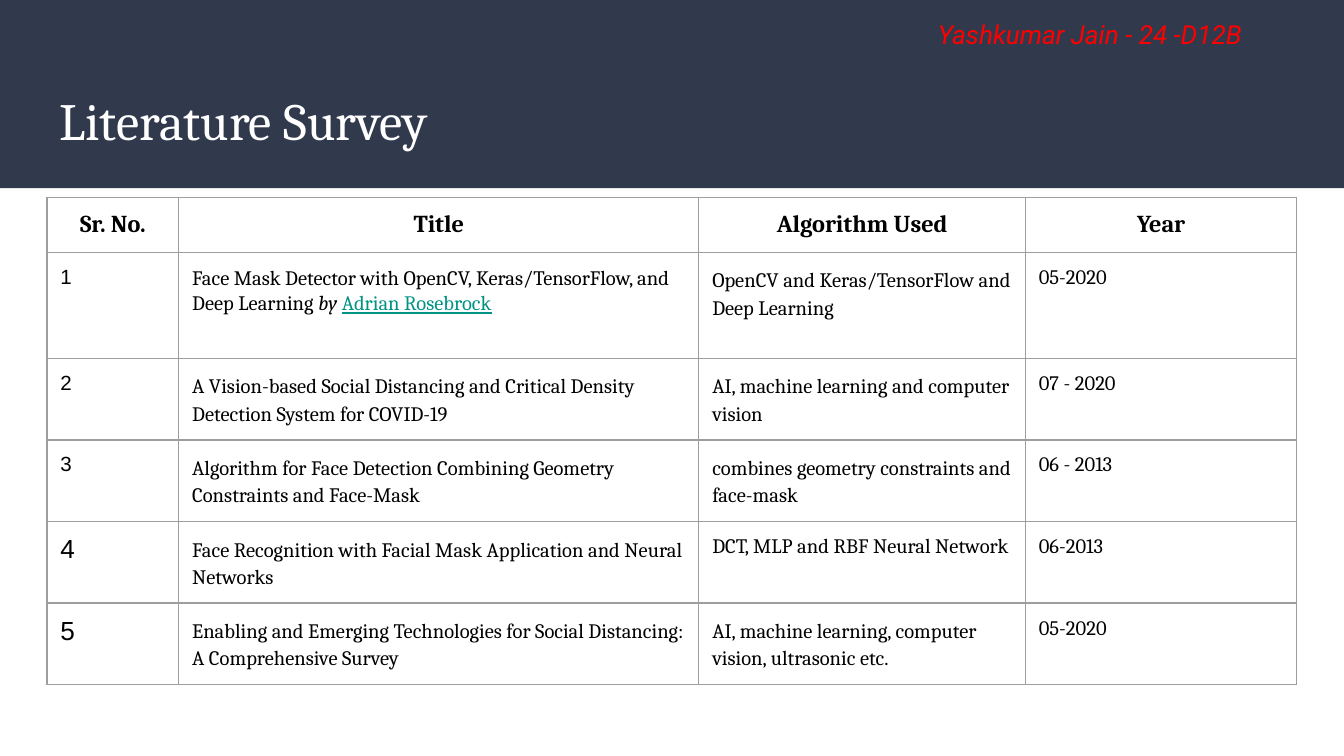
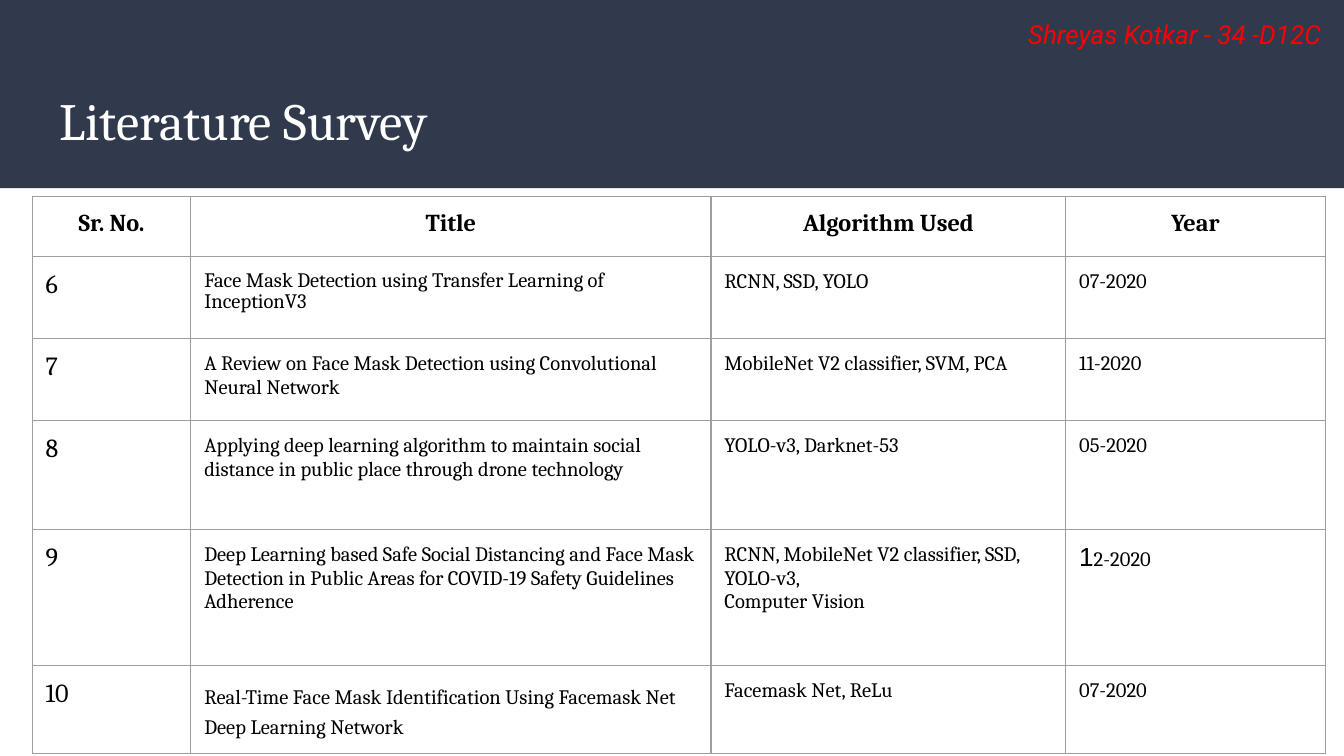
import pptx
import pptx.dml.color
import pptx.enum.shapes
import pptx.enum.text
import pptx.oxml
import pptx.oxml.ns
import pptx.util

Inches = pptx.util.Inches
Pt = pptx.util.Pt

NAVY, WHITE, BLACK = "31394D", "FFFFFF", "000000"
RED, TEAL, GREY = "FF0000", "009384", "9E9E9E"

TITLE = "Literature Survey"
TITLE_FONT = {"name": "Cambria", "size": Pt(28), "color": WHITE}
AUTHOR_FONT = {"name": "Roboto", "size": Pt(14), "color": RED, "italic": True}
HEADING_FONT = {"name": "Cambria", "size": Pt(13), "color": BLACK, "bold": True}
BODY_FONT = {"name": "Cambria", "size": Pt(11), "color": BLACK, "bold": False}
SMALL_ARIAL = {"name": "Arial"}
LARGE_ARIAL = {"name": "Arial", "size": Pt(14)}
LARGE_NUMBER = {"size": Pt(14)}

LOOSE = {"line_spacing": 1.15}
LOOSE_TITLE = {**LOOSE, "space_before": Pt(6), "space_after": Pt(9)}
LOOSE_ALGORITHM = {**LOOSE, "space_before": Pt(6), "space_after": Pt(6)}

HEADINGS = ("Sr. No.", "Title", "Algorithm Used", "Year")

SURVEYS = [
    {
        "author": "Yashkumar Jain - 24 -D12B",
        "author_box": (6.88, 0.04, 3, 0.67),
        "corner": (0.35, 1.47),
        "columns": (0.98, 3.87, 2.43, 2.02),
        "heights": (0.26, 0.79, 0.37, 0.37, 0.37, 0.5),
        "papers": [
            ([("1", SMALL_ARIAL)],
             ([("Face Mask Detector with OpenCV, Keras/TensorFlow, and Deep Learning ", {}),
               ("by ", {"italic": True}),
               ("Adrian Rosebrock", {"color": TEAL, "underline": True})],
              {"line_spacing": 1.06}),
             ("OpenCV and Keras/TensorFlow and Deep Learning", LOOSE),
             "05-2020"),
            ([("2", SMALL_ARIAL)],
             ("A Vision-based Social Distancing and Critical Density Detection System for COVID-19",
              LOOSE_TITLE),
             ("AI, machine learning and computer vision", LOOSE_ALGORITHM),
             "07 - 2020"),
            ([("3", SMALL_ARIAL)],
             ("Algorithm for Face Detection Combining Geometry Constraints and Face-Mask",
              {**LOOSE, "space_before": Pt(24), "space_after": Pt(6)}),
             ("combines geometry constraints and face-mask", LOOSE),
             "06 - 2013"),
            ([("4", LARGE_ARIAL)],
             ("Face Recognition with Facial Mask Application and Neural Networks",
              {**LOOSE, "space_after": Pt(6)}),
             "DCT, MLP and RBF Neural Network",
             "06-2013"),
            ([("5", LARGE_ARIAL)],
             ("Enabling and Emerging Technologies for Social Distancing: A Comprehensive Survey",
              LOOSE_TITLE),
             ("AI, machine learning, computer vision, ultrasonic etc.", LOOSE_ALGORITHM),
             "05-2020"),
        ],
    },
    {
        "author": "Shreyas Kotkar - 34 -D12C",
        "author_box": (7.55, 0.04, 2.98, 0.67),
        "corner": (0.24, 1.46),
        "columns": (1.18, 3.87, 2.64, 1.93),
        "heights": (0.45, 0.61, 0.61, 0.81, 1.01, 0.58),
        "papers": [
            ([("6", LARGE_NUMBER)],
             ("Face Mask Detection using Transfer Learning of\nInceptionV3",
              {"line_spacing": 0.9}),
             "RCNN, SSD, YOLO",
             "07-2020"),
            ([("7", LARGE_NUMBER)],
             "A Review on Face Mask Detection using Convolutional Neural Network",
             "MobileNet V2 classifier, SVM, PCA",
             "11-2020"),
            ([("8", LARGE_NUMBER)],
             "Applying deep learning algorithm to maintain social distance in public place "
             "through drone technology",
             "YOLO-v3, Darknet-53",
             "05-2020"),
            ([("9", LARGE_NUMBER)],
             "Deep Learning based Safe Social Distancing and Face Mask Detection in Public "
             "Areas for COVID-19 Safety Guidelines Adherence",
             "RCNN, MobileNet V2 classifier, SSD, YOLO-v3,\nComputer Vision",
             [("1", LARGE_ARIAL), ("2-2020", {})]),
            ([("10", LARGE_NUMBER)],
             ("Real-Time Face Mask Identification Using Facemask Net Deep Learning Network",
              {"line_spacing": 1.29, "space_after": Pt(4)}),
             "Facemask Net, ReLu",
             "07-2020"),
        ],
    },
]


def rgb(code):
    return pptx.dml.color.RGBColor.from_string(code)


def set_attributes(target, values):
    for key, value in values.items():
        if key == "color":
            target.color.rgb = rgb(value)
        else:
            setattr(target, key, value)


def set_margins(frame):
    for side in ("left", "top", "right", "bottom"):
        setattr(frame, f"margin_{side}", Inches(0.1))


def write(frame, content, font, spacing):
    if isinstance(content, str):
        lines = [[(line, {})] for line in content.split("\n")]
    else:
        lines = [content]
    for index, line in enumerate(lines):
        paragraph = frame.add_paragraph() if index else frame.paragraphs[0]
        set_attributes(paragraph, spacing)
        for words, changes in line:
            run = paragraph.add_run()
            run.text = words
            set_attributes(run.font, {**font, **changes})


def add_borders(cell):
    properties = cell._tc.get_or_add_tcPr()
    for side in "LRTB":
        properties.append(pptx.oxml.parse_xml(
            f'<a:ln{side} {pptx.oxml.ns.nsdecls("a")} w="{Pt(0.75)}">'
            f'<a:solidFill><a:srgbClr val="{GREY}"/></a:solidFill></a:ln{side}>'))


def prepare_layout(layout, slide):
    band = slide.shapes.add_shape(
        pptx.enum.shapes.MSO_SHAPE.RECTANGLE, 0, 0, Inches(10), Inches(1.4))
    band.shadow.inherit = False
    band.fill.solid()
    band.fill.fore_color.rgb = rgb(NAVY)
    band.line.fill.background()
    layout.shapes._spTree.insert(2, band._element)
    heading = layout.placeholders[0]
    set_attributes(heading, {"left": Inches(0.34), "top": Inches(0.55),
                             "width": Inches(9.32), "height": Inches(0.68)})


def add_title(slide):
    frame = slide.shapes.title.text_frame
    set_margins(frame)
    set_attributes(frame, {"vertical_anchor": pptx.enum.text.MSO_ANCHOR.MIDDLE,
                           "auto_size": pptx.enum.text.MSO_AUTO_SIZE.NONE})
    write(frame, TITLE, TITLE_FONT, {"alignment": pptx.enum.text.PP_ALIGN.LEFT})


def add_author(slide, survey):
    frame = slide.shapes.add_textbox(*map(Inches, survey["author_box"])).text_frame
    set_margins(frame)
    set_attributes(frame, {"word_wrap": True,
                           "auto_size": pptx.enum.text.MSO_AUTO_SIZE.SHAPE_TO_FIT_TEXT})
    write(frame, survey["author"], AUTHOR_FONT, {})


def add_papers(slide, survey):
    rows = [HEADINGS, *survey["papers"]]
    columns, heights = survey["columns"], survey["heights"]
    table = slide.shapes.add_table(
        len(rows), len(columns), *map(Inches, survey["corner"]),
        Inches(sum(columns)), Inches(sum(heights))).table
    set_attributes(table, {"first_row": False, "horz_banding": False})
    for column, width in zip(table.columns, columns):
        column.width = Inches(width)
    for index, (row, height, entries) in enumerate(zip(table.rows, heights, rows)):
        row.height = Inches(height)
        for cell, entry in zip(row.cells, entries):
            content, spacing = entry if isinstance(entry, tuple) else (entry, {})
            if index == 0:
                spacing = {"alignment": pptx.enum.text.PP_ALIGN.CENTER}
            set_margins(cell)
            add_borders(cell)
            cell.fill.background()
            write(cell.text_frame, content, BODY_FONT if index else HEADING_FONT, spacing)


def main():
    deck = pptx.Presentation()
    deck.slide_width = Inches(10)
    deck.slide_height = deck.slide_width * 9 // 16
    layout = deck.slide_layouts[5]
    for number, survey in enumerate(SURVEYS):
        slide = deck.slides.add_slide(layout)
        if number == 0:
            prepare_layout(layout, slide)
        add_title(slide)
        add_papers(slide, survey)
        add_author(slide, survey)
    deck.save("out.pptx")


if __name__ == "__main__":
    main()
